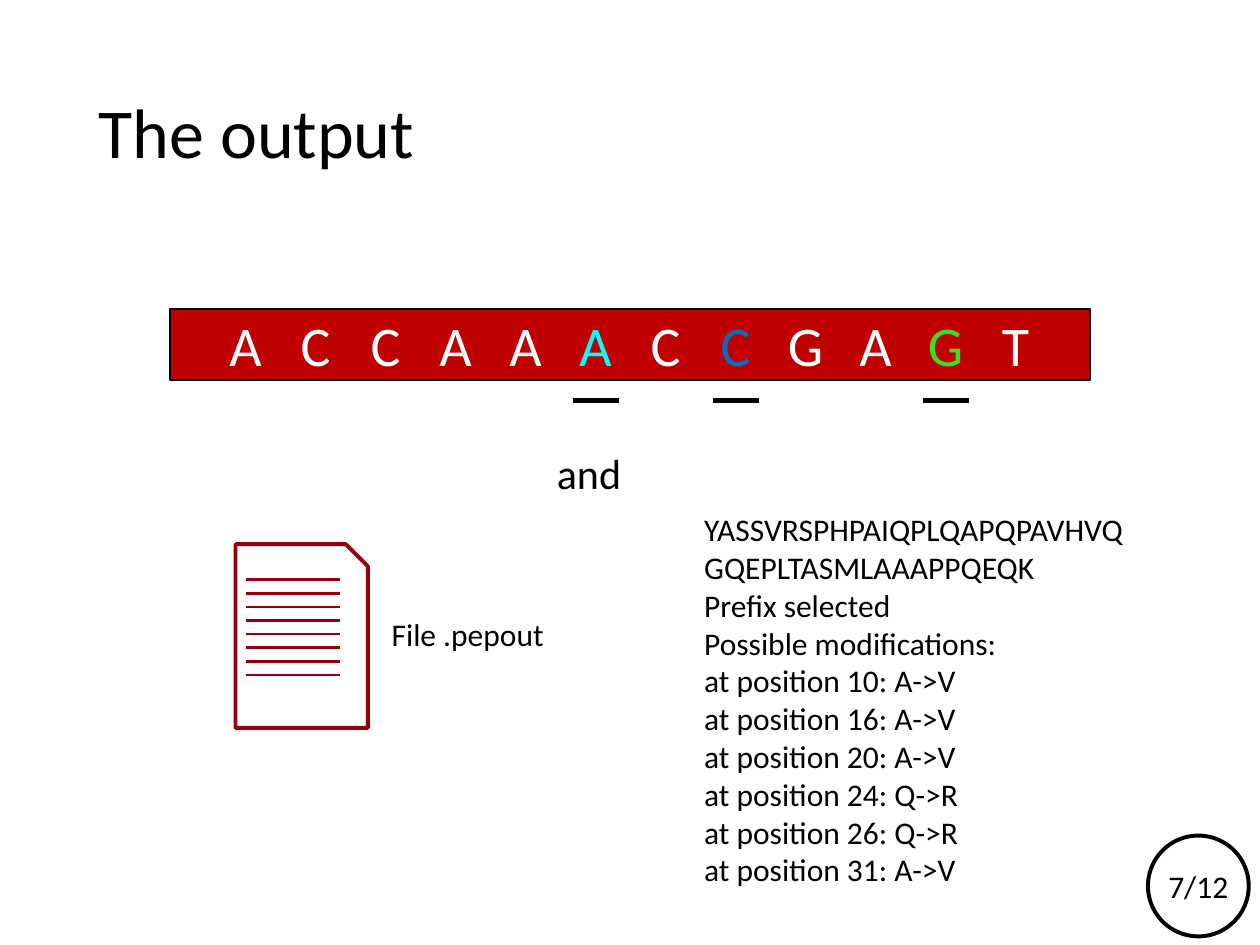
from dataclasses import dataclass

import pptx
import pptx.dml.color
import pptx.enum.shapes
import pptx.enum.text
import pptx.oxml
import pptx.oxml.ns
import pptx.util

Pt = pptx.util.Pt
RGB = pptx.dml.color.RGBColor
ALIGN = pptx.enum.text.PP_ALIGN
ANCHOR = pptx.enum.text.MSO_ANCHOR
SHAPE = pptx.enum.shapes.MSO_SHAPE

BLACK = RGB(0x00, 0x00, 0x00)
WHITE = RGB(0xFF, 0xFF, 0xFF)
RED = RGB(0xC0, 0x00, 0x00)
DARK_RED = RGB(0x97, 0x00, 0x0B)
CYAN = RGB(0x00, 0xFF, 0xFF)
BLUE = RGB(0x00, 0x70, 0xC0)
GREEN = RGB(0x3C, 0xE0, 0x16)

FONT = "Calibri"
INSET = 7.2


@dataclass(frozen=True)
class Box:
    left: float
    top: float
    width: float
    height: float

    def lengths(self) -> list:
        return [Pt(v) for v in (self.left, self.top, self.width, self.height)]


@dataclass(frozen=True)
class Base:
    letter: str
    color: RGB = WHITE

    @property
    def marked(self) -> bool:
        return self.color != WHITE


def set_font(font, size: float, color: RGB) -> None:
    font.name = FONT
    font.size = Pt(size)
    font.color.rgb = color


def add_text(s, box: Box, text: str, *, size: float = 18, color: RGB = BLACK,
             align=ALIGN.LEFT, anchor=ANCHOR.TOP, spacing: float = 1.0):
    sp = s.shapes.add_textbox(*box.lengths())
    tf = sp.text_frame
    tf.word_wrap = True
    tf.vertical_anchor = anchor
    for i, line in enumerate(text.split("\n")):
        p = tf.add_paragraph() if i else tf.paragraphs[0]
        p.alignment = align
        p.line_spacing = spacing
        r = p.add_run()
        r.text = line
        set_font(r.font, size, color)
    return sp


def add_shape(s, kind, box: Box, fill: RGB, line: RGB, weight: float):
    sp = s.shapes.add_shape(kind, *box.lengths())
    sp.shadow.inherit = False
    sp.fill.solid()
    sp.fill.fore_color.rgb = fill
    sp.line.color.rgb = line
    sp.line.width = Pt(weight)
    return sp


def add_rule(s, left: float, right: float, y: float, color: RGB, weight: float) -> None:
    cx = s.shapes.add_connector(pptx.enum.shapes.MSO_CONNECTOR.STRAIGHT,
                                Pt(left), Pt(y), Pt(right), Pt(y))
    cx.line.color.rgb = color
    cx.line.width = Pt(weight)
    pptx.oxml.ns  # namespace prefixes come from here
    cx._element.spPr.append(
        pptx.oxml.parse_xml(f"<a:effectLst {pptx.oxml.ns.nsdecls('a')}/>"))


def add_sequence(s, box: Box, bases: list[Base], first: float, pitch: float) -> None:
    """Draw a bar of letters on centred tab stops and underline the marked ones."""
    sp = add_shape(s, SHAPE.RECTANGLE, box, RED, BLACK, 1)
    tf = sp.text_frame
    tf.word_wrap = True
    tf.vertical_anchor = ANCHOR.MIDDLE
    p = tf.paragraphs[0]
    p.alignment = ALIGN.LEFT
    centers = [first + i * pitch for i in range(len(bases))]
    stops = "".join(f'<a:tab pos="{Pt(x - box.left - INSET)}" algn="ctr"/>' for x in centers)
    p._p.get_or_add_pPr().append(pptx.oxml.parse_xml(
        f"<a:tabLst {pptx.oxml.ns.nsdecls('a')}>{stops}</a:tabLst>"))
    for base, x in zip(bases, centers):
        r = p.add_run()
        r.text = "\t" + base.letter
        set_font(r.font, 32, base.color)
        if base.marked:
            add_rule(s, x - 13, x + 13, 229, BLACK, 3)


def main() -> None:
    prs = pptx.Presentation()
    prs.slide_width, prs.slide_height = Pt(720), Pt(540)
    s = prs.slides.add_slide(prs.slide_layouts[6])

    # Title
    add_text(s, Box(49.5, 25.2, 621, 105), "The output", size=40,
             anchor=ANCHOR.MIDDLE, spacing=0.9)

    # Page number
    add_shape(s, SHAPE.OVAL, Box(656, 477.5, 57.6, 57.6), WHITE, BLACK, 2.25)
    add_text(s, Box(657.4, 491.8, 54.7, 29), "7/12", align=ALIGN.CENTER)

    # Sequence with its changed letters
    bases = [Base(c) for c in "ACCAA"] + [
        Base("A", CYAN), Base("C"), Base("C", BLUE),
        Base("G"), Base("A"), Base("G", GREEN), Base("T")]
    add_sequence(s, Box(97.2, 176.4, 525.6, 41), bases, first=140.5, pitch=40)

    add_text(s, Box(308.9, 252, 55.4, 36), "and", size=24, align=ALIGN.CENTER)

    # Output file
    add_shape(s, SHAPE.SNIP_1_RECTANGLE, Box(134.6, 311, 75.6, 105), WHITE, DARK_RED, 2.25)
    for i in range(8):
        add_rule(s, 140.8, 194.4, 331.2 + i * 7.8, DARK_RED, 1.5)
    add_text(s, Box(216.7, 347.8, 147.6, 29), "File .pepout")

    # File contents
    changes = [(10, "A->V"), (16, "A->V"), (20, "A->V"),
               (24, "Q->R"), (26, "Q->R"), (31, "A->V")]
    lines = ["YASSVRSPHPAIQPLQAPQPAVHVQ", "GQEPLTASMLAAAPPQEQK",
             "Prefix selected", "Possible modifications:"]
    lines += [f"at position {n}: {change}" for n, change in changes]
    add_text(s, Box(395.3, 288, 260.6, 225.4), "\n".join(lines))

    prs.save("out.pptx")


if __name__ == "__main__":
    main()
